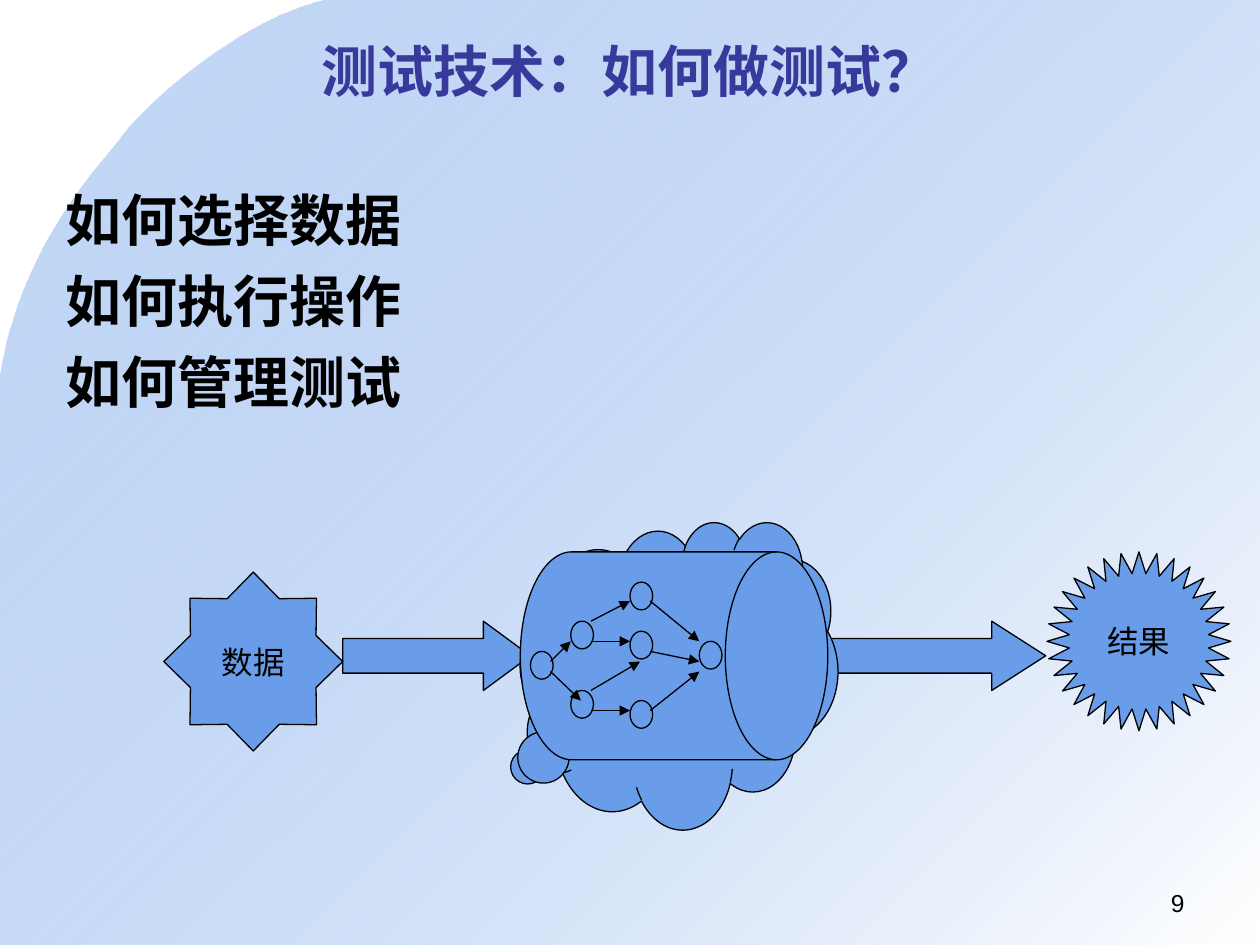
from lxml.etree import SubElement
from pptx import Presentation
from pptx.dml.color import RGBColor
from pptx.enum.shapes import MSO_CONNECTOR, MSO_SHAPE
from pptx.enum.text import MSO_ANCHOR, PP_ALIGN
from pptx.oxml.ns import qn
from pptx.util import Inches, Pt

COLORS = {
    "blue": "699DE9",
    "title": "37399B",
    "black": "000000",
    "white": "FFFFFF",
}
FONT = "Arial"
OUTLINE = Pt(0.75)

# Each curve continues from the end of the one before.
BACKDROP_START = (2.58, 0)
BACKDROP_CURVES = [
    [(1.9, 0.16), (1.16, 0.83), (0.98, 1.07)],
    [(0.8, 1.32), (0.16, 1.94), (0, 3.01)],
]
TOPICS = ["如何选择数据", "如何执行操作", "如何管理测试"]

NODE_SIZE = (0.18, 0.22)
NODES = [
    (4.21, 5.17), (4.53, 4.93), (4.53, 5.48), (5, 4.62),
    (5, 5.01), (5, 5.56), (5.55, 5.09),
]
LINKS = [
    ((4.37, 5.25), (4.53, 5.09)),
    ((4.37, 5.33), (4.61, 5.56)),
    ((4.69, 4.93), (5, 4.77)),
    ((4.69, 5.09), (5, 5.09)),
    ((4.69, 5.48), (5.08, 5.25)),
    ((4.69, 5.64), (5, 5.64)),
    ((5.16, 4.77), (5.55, 5.09)),
    ((5.16, 5.17), (5.55, 5.25)),
    ((5.16, 5.64), (5.55, 5.33)),
]


def rgb(name):
    return RGBColor.from_string(COLORS[name])


def inches(values):
    return [Inches(value) for value in values]


def curve_points(start, handle_1, handle_2, end, steps=24):
    """Points along a cubic Bezier curve, without its start."""
    points = []
    for step in range(1, steps + 1):
        t = step / steps
        weights = ((1 - t) ** 3, 3 * t * (1 - t) ** 2, 3 * t**2 * (1 - t), t**3)
        corners = (start, handle_1, handle_2, end)
        points.append(tuple(
            sum(weight * corner[axis] for weight, corner in zip(weights, corners))
            for axis in (0, 1)
        ))
    return points


def add_backdrop(shapes):
    outline = []
    start = BACKDROP_START
    for curve in BACKDROP_CURVES:
        outline += curve_points(start, *curve)
        start = curve[-1]
    outline += [(0, 7.5), (10, 7.5), (10, 0)]

    builder = shapes.build_freeform(*inches(BACKDROP_START))
    builder.add_line_segments([inches(point) for point in outline])
    backdrop = builder.convert_to_shape()
    backdrop.shadow.inherit = False
    backdrop.line.fill.background()
    backdrop.fill.gradient()
    backdrop.fill.gradient_angle = 315
    first, last = backdrop.fill.gradient_stops
    first.position, last.position = 0, 1
    first.color.rgb, last.color.rgb = rgb("blue"), rgb("white")
    tint = backdrop.fill._fill._gradFill.find(".//" + qn("a:srgbClr"))
    SubElement(tint, qn("a:alpha"), val="39000")


def write(paragraph, text, size, color="black", bold=False, align=PP_ALIGN.LEFT):
    paragraph.alignment = align
    run = paragraph.add_run()
    run.text = text
    run.font.name = FONT
    run.font.size = Pt(size)
    run.font.bold = bold
    run.font.color.rgb = rgb(color)


def add_text(shapes, box, lines, size, anchor=MSO_ANCHOR.TOP, hanging=0, gap=0, **style):
    frame = shapes.add_textbox(*inches(box)).text_frame
    frame.word_wrap = True
    frame.vertical_anchor = anchor
    for index, line in enumerate(lines):
        paragraph = frame.add_paragraph() if index else frame.paragraphs[0]
        if hanging:
            properties = paragraph._p.get_or_add_pPr()
            properties.set("marL", str(Inches(hanging)))
            properties.set("indent", str(-Inches(hanging)))
        if index:
            paragraph.space_before = Pt(gap)
        write(paragraph, line, size, **style)


def add_figure(shapes, kind, box, adjustments=(), label=None):
    figure = shapes.add_shape(kind, *inches(box))
    figure.shadow.inherit = False
    figure.fill.solid()
    figure.fill.fore_color.rgb = rgb("blue")
    figure.line.color.rgb = rgb("black")
    figure.line.width = OUTLINE
    for index, value in enumerate(adjustments):
        figure.adjustments[index] = value
    if label:
        frame = figure.text_frame
        frame.word_wrap = False
        frame.vertical_anchor = MSO_ANCHOR.MIDDLE
        write(frame.paragraphs[0], label, 18, align=PP_ALIGN.CENTER)


def add_link(shapes, start, end):
    link = shapes.add_connector(MSO_CONNECTOR.STRAIGHT, *inches(start + end))
    link.line.color.rgb = rgb("black")
    link.line.width = OUTLINE
    SubElement(link.line._get_or_add_ln(), qn("a:tailEnd"), type="triangle")
    SubElement(link._element.spPr, qn("a:effectLst"))


def add_program(shapes):
    """The drum with the network of steps inside it."""
    program = shapes.add_group_shape().shapes
    add_figure(program, MSO_SHAPE.FLOWCHART_DIRECT_ACCESS_STORAGE, (4.13, 4.38, 2.44, 1.65))
    for node in NODES:
        add_figure(program, MSO_SHAPE.OVAL, node + NODE_SIZE)
    for start, end in LINKS:
        add_link(program, start, end)


def main():
    deck = Presentation()
    deck.slide_width, deck.slide_height = Inches(10), Inches(7.5)
    shapes = deck.slides.add_slide(deck.slide_layouts[6]).shapes

    add_backdrop(shapes)
    add_text(shapes, (0.5, 0.25, 9, 0.62), ["测试技术：如何做测试？"], 32,
             anchor=MSO_ANCHOR.MIDDLE, color="title", bold=True, align=PP_ALIGN.CENTER)
    add_text(shapes, (0.42, 1.42, 9.08, 5.42), TOPICS, 32, hanging=0.38, gap=8, bold=True)

    add_figure(shapes, MSO_SHAPE.RIGHT_ARROW, (2.72, 4.93, 1.49, 0.55), (0.5, 0.68))
    add_figure(shapes, MSO_SHAPE.RIGHT_ARROW, (6.57, 4.93, 1.73, 0.55), (0.5, 0.78))
    add_figure(shapes, MSO_SHAPE.STAR_8_POINT, (1.3, 4.54, 1.42, 1.42), (0.38,), "数据")
    add_figure(shapes, MSO_SHAPE.STAR_32_POINT, (8.31, 4.38, 1.46, 1.42), (0.38,), "结果")
    add_figure(shapes, MSO_SHAPE.CLOUD_CALLOUT, (4.13, 4.14, 2.52, 2.44), (-0.48, 0.3))
    add_program(shapes)

    add_text(shapes, (7.17, 7, 2.33, 0.35), ["9"], 14, align=PP_ALIGN.RIGHT)
    deck.save("out.pptx")


if __name__ == "__main__":
    main()
